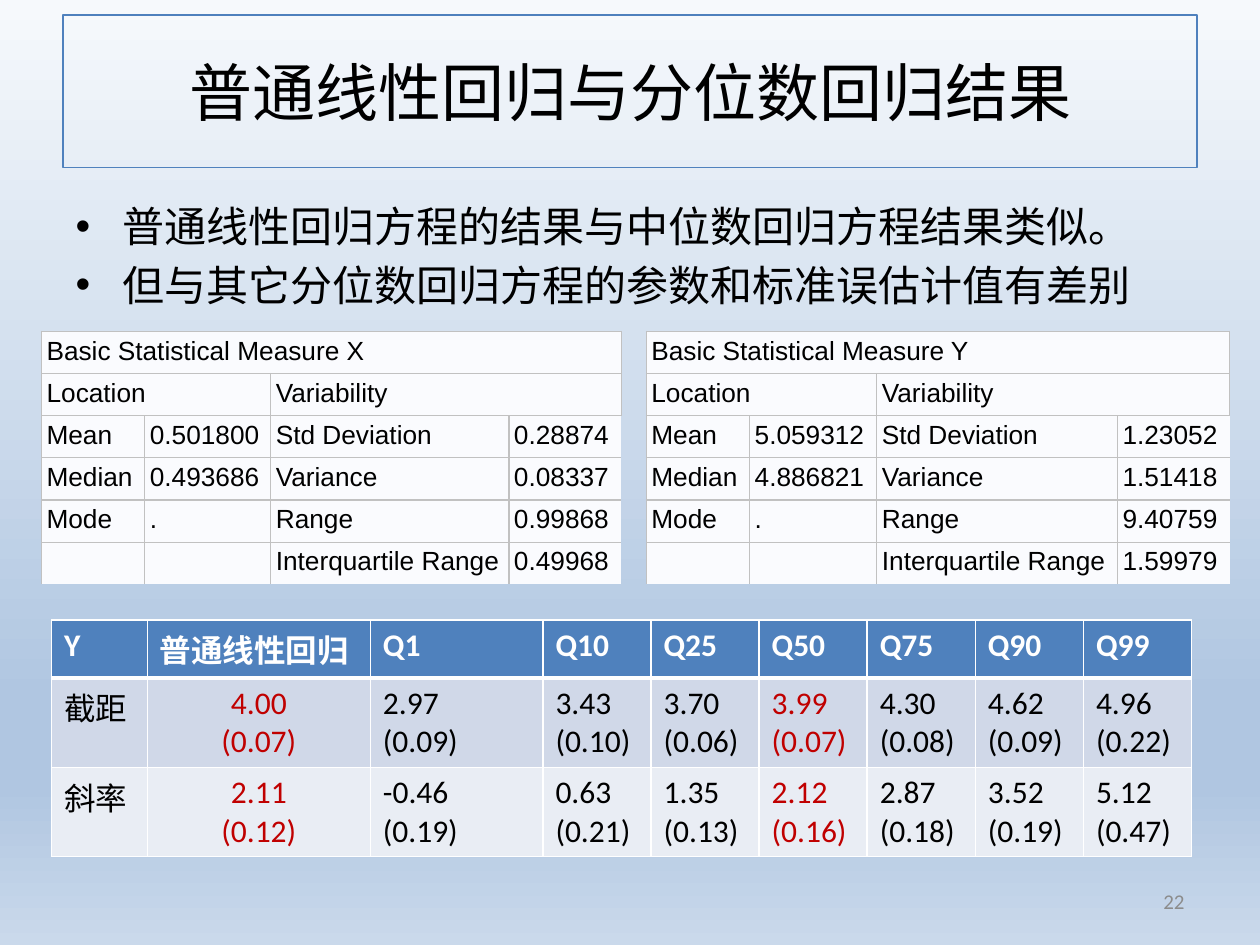
from copy import deepcopy
from lxml.etree import SubElement
from pptx import Presentation
from pptx.dml.color import RGBColor
from pptx.enum.text import MSO_ANCHOR, PP_ALIGN
from pptx.oxml.ns import qn
from pptx.util import Inches, Pt

tint = {
    "black": "000000", "white": "FFFFFF", "red": "C00000", "blue": "4F81BD",
    "band": "D0D8E8", "pale": "E9EDF4", "ice": "FAFBFE", "rule": "C1C1C1",
    "gray": "8C8C8C",
}
sky = [(0, "F6F9FC"), (0.74, "B0C6E1"), (0.83, "B0C6E1"), (1, "CAD9EB")]

deck = Presentation()
deck.slide_width, deck.slide_height = Inches(10), Inches(7.5)
unit = deck.slide_width / 100


def grid(*nums):
    return [int(num * unit) for num in nums]


def dress(text, size, face, ink, bold=False, align=None):
    for para in text.paragraphs:
        para.font.size = Pt(size)
        para.font.name = face
        para.font.bold = bold
        para.font.color.rgb = RGBColor.from_string(tint[ink])
        if align is not None:
            para.alignment = align


slide = deck.slides.add_slide(deck.slide_layouts[1])
back = slide.background.fill
back.gradient()
back.gradient_angle = 270
stops = slide.element.find(".//" + qn("a:gsLst"))
for stop in list(stops):
    stops.append(deepcopy(stop))
for stop, (spot, shade) in zip(back.gradient_stops, sky):
    stop.position = spot
    stop.color.rgb = RGBColor.from_string(shade)

title, body = slide.placeholders
title.left, title.top, title.width, title.height = grid(5, 1.2, 90, 12.1)
title.line.color.rgb = RGBColor.from_string(tint["blue"])
title.line.width = Pt(1)
title.text_frame.text = "普通线性回归与分位数回归结果"
dress(title.text_frame, 36, "Calibri", "black")

body.left, body.top, body.width, body.height = grid(5, 15.4, 90, 15.3)
body.text_frame.text = (
    "普通线性回归方程的结果与中位数回归方程结果类似。\n"
    "但与其它分位数回归方程的参数和标准误估计值有差别"
)
dress(body.text_frame, 24, "Calibri", "black")

page = slide.shapes.add_textbox(*grid(71.7, 69.5, 23.3, 4)).text_frame
page.word_wrap = True
page.vertical_anchor = MSO_ANCHOR.MIDDLE
page.text = "22"
dress(page, 12, "Calibri", "gray", align=PP_ALIGN.RIGHT)

fits = [
    ["Y", "普通线性回归", "Q1", "Q10", "Q25", "Q50", "Q75", "Q90", "Q99"],
    ["截距", "4.00\n(0.07)", "2.97\n(0.09)", "3.43\n(0.10)", "3.70\n(0.06)",
     "3.99\n(0.07)", "4.30\n(0.08)", "4.62\n(0.09)", "4.96\n(0.22)"],
    ["斜率", "2.11\n(0.12)", "-0.46\n(0.19)", "0.63\n(0.21)", "1.35\n(0.13)",
     "2.12\n(0.16)", "2.87\n(0.18)", "3.52\n(0.19)", "5.12\n(0.47)"],
]
plans = [(4.1, 49.2, [7.6, 17.7, 13.7] + [8.58] * 6, [4.6, 7.1, 7.1], fits)]

stats = [
    ("X", 3.3, [8.2, 10, 18.9, 8.9], ["0.501800", "0.493686"],
     ["0.28874", "0.08337", "0.99868", "0.49968"]),
    ("Y", 51.3, [8.2, 10.1, 19.1, 8.9], ["5.059312", "4.886821"],
     ["1.23052", "1.51418", "9.40759", "1.59979"]),
]
for name, left, cols, mids, devs in stats:
    rows = [["Basic Statistical Measure " + name, "", "", ""],
            ["Location", "", "Variability", ""]]
    rows += zip(["Mean", "Median", "Mode", ""], mids + [".", ""],
                ["Std Deviation", "Variance", "Range", "Interquartile Range"], devs)
    plans.append((left, 26.3, cols, [3.35] * 6, rows))

for left, top, cols, highs, rows in plans:
    main = rows is fits
    table = slide.shapes.add_table(
        len(rows), len(cols), *grid(left, top, sum(cols), sum(highs))).table
    for col, wide in zip(table.columns, grid(*cols)):
        col.width = wide
    for row, high in zip(table.rows, grid(*highs)):
        row.height = high
    for r, row in enumerate(rows):
        for c, text in enumerate(row):
            cell = table.cell(r, c)
            cell.text = text
            if main:
                head = r == 0
                ink = "white" if head else "red" if c in (1, 5) else "black"
                align = PP_ALIGN.CENTER if c == 1 and not head else None
                dress(cell.text_frame, 18, "Calibri", ink, head, align)
                fill = ["blue", "band", "pale"][r]
            else:
                dress(cell.text_frame, 15, "Arial", "black")
                cell.margin_left = cell.margin_right = Inches(0.04)
                cell.margin_top = cell.margin_bottom = Inches(0.04)
                fill = "ice"
            props = cell._tc.get_or_add_tcPr()
            for side in "LRTB":
                thick = 0.75
                if main:
                    thick = 3 if (r, side) in [(0, "B"), (1, "T")] else 1
                line = SubElement(props, qn("a:ln" + side), w=str(Pt(thick)))
                bare = (side == "R" and c == len(cols) - 1
                        or side == "B" and r == len(rows) - 1)
                if bare and not main:
                    SubElement(line, qn("a:noFill"))
                else:
                    paint = SubElement(line, qn("a:solidFill"))
                    SubElement(paint, qn("a:srgbClr"),
                               val=tint["white" if main else "rule"])
            cell.fill.solid()
            cell.fill.fore_color.rgb = RGBColor.from_string(tint[fill])
    if not main:
        for r, first, last in [(0, 0, 3), (1, 0, 1), (1, 2, 3)]:
            table.cell(r, first).merge(table.cell(r, last))

deck.save("out.pptx")
